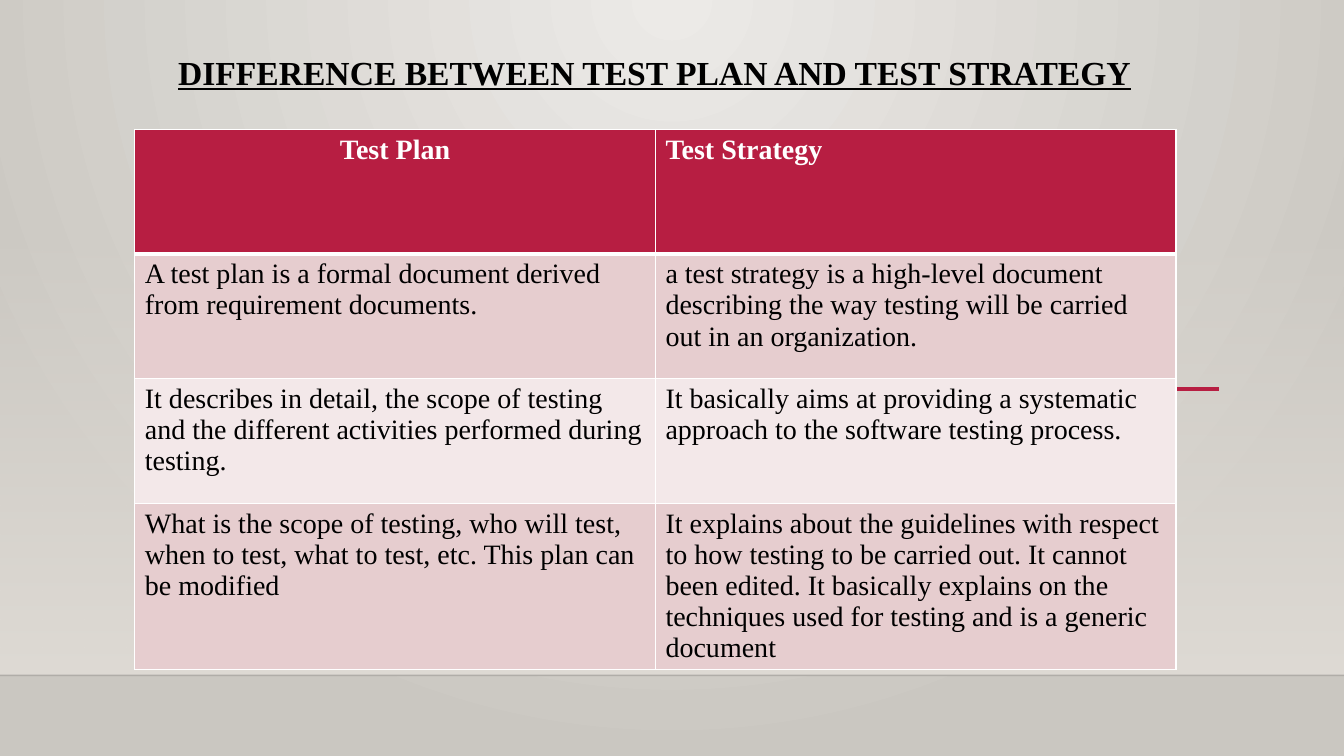
import pptx
import pptx.util
import pptx.dml.color
import pptx.enum.shapes
import pptx.enum.text
import pptx.oxml
import pptx.oxml.ns
import lxml.etree

Pt = pptx.util.Pt
RGB = pptx.dml.color.RGBColor
qn = pptx.oxml.ns.qn

TITLE = "DIFFERENCE BETWEEN TEST PLAN AND TEST STRATEGY"
ROWS = [
    ("Test Plan", "Test Strategy"),
    ("A test plan is a formal document derived from requirement documents.",
     "a test strategy is a high-level document describing\u00a0the way testing "
     "will be carried out in an organization."),
    ("It describes in detail, the\u00a0scope of testing and the different "
     "activities performed during testing.",
     "It basically aims at providing a systematic approach to the software "
     "testing process."),
    ("What is the scope of testing, who will test, when to test, what to test, "
     "etc. This plan can be modified",
     "It explains about the guidelines with respect to how testing to be carried "
     "out. It cannot been edited. It basically explains on the techniques used "
     "for testing and is a generic document"),
]

FONT = "Times New Roman"
BLACK, WHITE = RGB(0, 0, 0), RGB(255, 255, 255)
CRIMSON = RGB(0xB7, 0x1E, 0x42)
BANDS = [RGB(0xF3, 0xE8, 0xE9), RGB(0xE6, 0xCD, 0xCF)]
GLOW, STONE, FLOOR = RGB(0xEC, 0xEA, 0xE7), RGB(0xCA, 0xC7, 0xC1), RGB(0xDF, 0xDB, 0xD5)

WIDTH, HEIGHT = 960, 540
FLOOR_TOP, FLOOR_LINE = 159, 482.4
TABLE_LEFT, TABLE_TOP, COLUMN = 96.3, 92.2, 371.9
ROW_HEIGHTS = [89.1, 89.1, 89.1, 118.6]

RADIAL = ('<a:path path="circle"><a:fillToRect l="43000" t="0" r="43000" '
          'b="100000"/></a:path>')
DOWNWARD = '<a:lin ang="5400000" scaled="0"/>'


def set_gradient(fill, holder, start, end, direction, start_opacity=100):
    """Give a fill two colour stops and the direction element."""
    fill.gradient()
    old = holder.find(".//" + qn("a:gradFill"))
    new = pptx.oxml.parse_xml(
        f'<a:gradFill {pptx.oxml.ns.nsdecls("a")} rotWithShape="1"><a:gsLst>'
        f'<a:gs pos="0"><a:srgbClr val="{start}">'
        f'<a:alpha val="{start_opacity * 1000}"/></a:srgbClr></a:gs>'
        f'<a:gs pos="100000"><a:srgbClr val="{end}"/></a:gs>'
        f'</a:gsLst>{direction}</a:gradFill>')
    old.getparent().replace(old, new)


def add_line(s, left, right, y, color, weight, opacity=100):
    """Draw a horizontal line without a shadow."""
    line = s.shapes.add_connector(pptx.enum.shapes.MSO_CONNECTOR.STRAIGHT,
                                  Pt(left), Pt(y), Pt(right), Pt(y))
    line.line.color.rgb = color
    line.line.width = Pt(weight)
    sp_pr = line._element.spPr
    lxml.etree.SubElement(sp_pr, qn("a:effectLst"))
    alpha = lxml.etree.SubElement(sp_pr.find(".//" + qn("a:srgbClr")), qn("a:alpha"))
    alpha.set("val", str(opacity * 1000))


def set_borders(cell, header):
    """Outline a cell in white, with a heavy line between header and body."""
    tc_pr = cell._tc.get_or_add_tcPr()
    weights = {"L": 1, "R": 1, "T": 1, "B": 3 if header else 1}
    for i, (side, weight) in enumerate(weights.items()):
        tc_pr.insert(i, pptx.oxml.parse_xml(
            f'<a:ln{side} {pptx.oxml.ns.nsdecls("a")} w="{Pt(weight)}"><a:solidFill>'
            f'<a:srgbClr val="{WHITE}"/></a:solidFill></a:ln{side}>'))


def set_font(p, size, color, bold):
    """Format all the text of a paragraph."""
    p.font.name, p.font.size, p.font.bold = FONT, Pt(size), bold
    p.font.color.rgb = color


def add_backdrop(s):
    """Paint the glowing wall, the floor fade and the two lines."""
    set_gradient(s.background.fill, s._element, GLOW, STONE, RADIAL)
    fade = s.shapes.add_shape(pptx.enum.shapes.MSO_SHAPE.RECTANGLE, 0, Pt(FLOOR_TOP),
                              Pt(WIDTH), Pt(FLOOR_LINE - FLOOR_TOP))
    fade.shadow.inherit = False
    fade.line.fill.background()
    set_gradient(fade.fill, fade._element, FLOOR, FLOOR, DOWNWARD, start_opacity=0)
    add_line(s, 0, WIDTH, FLOOR_LINE, BLACK, 1, opacity=20)
    add_line(s, 190, 870.5, 277.9, CRIMSON, 2.5)


def add_title(s):
    """Place and format the title."""
    title = s.shapes.title
    title.left, title.top, title.width, title.height = Pt(120), Pt(33), Pt(720), Pt(33)
    tf = title.text_frame
    tf.text = TITLE
    tf.word_wrap = True
    tf.auto_size = pptx.enum.text.MSO_AUTO_SIZE.NONE
    tf.vertical_anchor = pptx.enum.text.MSO_ANCHOR.BOTTOM
    tf.margin_left = tf.margin_right = Pt(7.2)
    tf.margin_top, tf.margin_bottom = Pt(3.6), 0
    p = tf.paragraphs[0]
    p.alignment = pptx.enum.text.PP_ALIGN.LEFT
    p.line_spacing = 0.9
    set_font(p, 24, BLACK, True)
    p.font.underline = True


def add_comparison(s):
    """Build the comparison table."""
    table = s.shapes.add_table(len(ROWS), 2, Pt(TABLE_LEFT), Pt(TABLE_TOP),
                               Pt(2 * COLUMN), Pt(sum(ROW_HEIGHTS))).table
    for r, texts in enumerate(ROWS):
        table.rows[r].height = Pt(ROW_HEIGHTS[r])
        header = r == 0
        for c, text in enumerate(texts):
            cell = table.cell(r, c)
            cell.text = text
            cell.fill.solid()
            cell.fill.fore_color.rgb = CRIMSON if header else BANDS[r % 2]
            set_borders(cell, header)
            set_font(cell.text_frame.paragraphs[0], 20, WHITE if header else BLACK, header)
    heading = table.cell(0, 0).text_frame.paragraphs[0]
    heading.alignment = pptx.enum.text.PP_ALIGN.CENTER


prs = pptx.Presentation()
prs.slide_width, prs.slide_height = Pt(WIDTH), Pt(HEIGHT)
s = prs.slides.add_slide(prs.slide_layouts[5])
add_backdrop(s)
add_title(s)
add_comparison(s)
prs.save("out.pptx")
